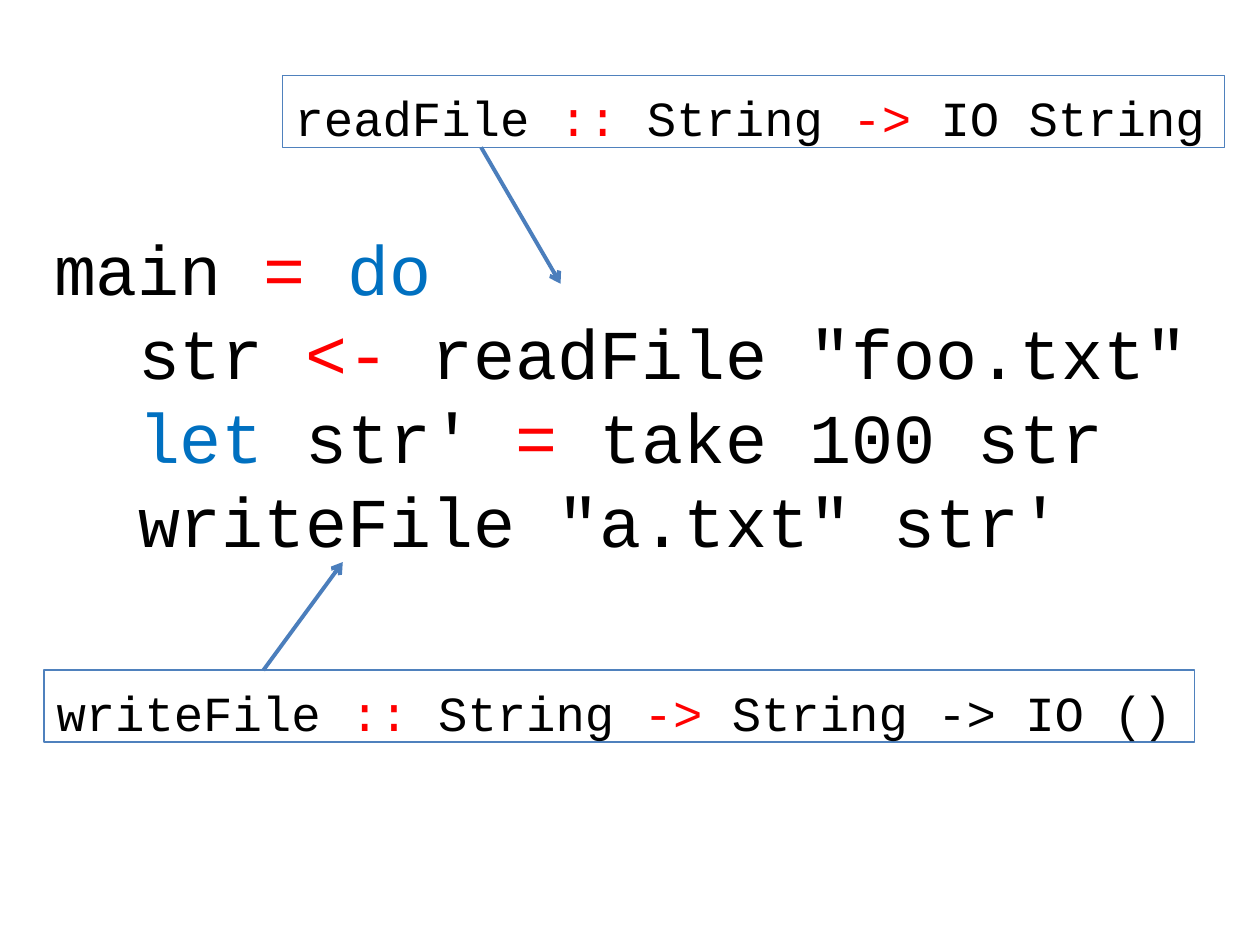
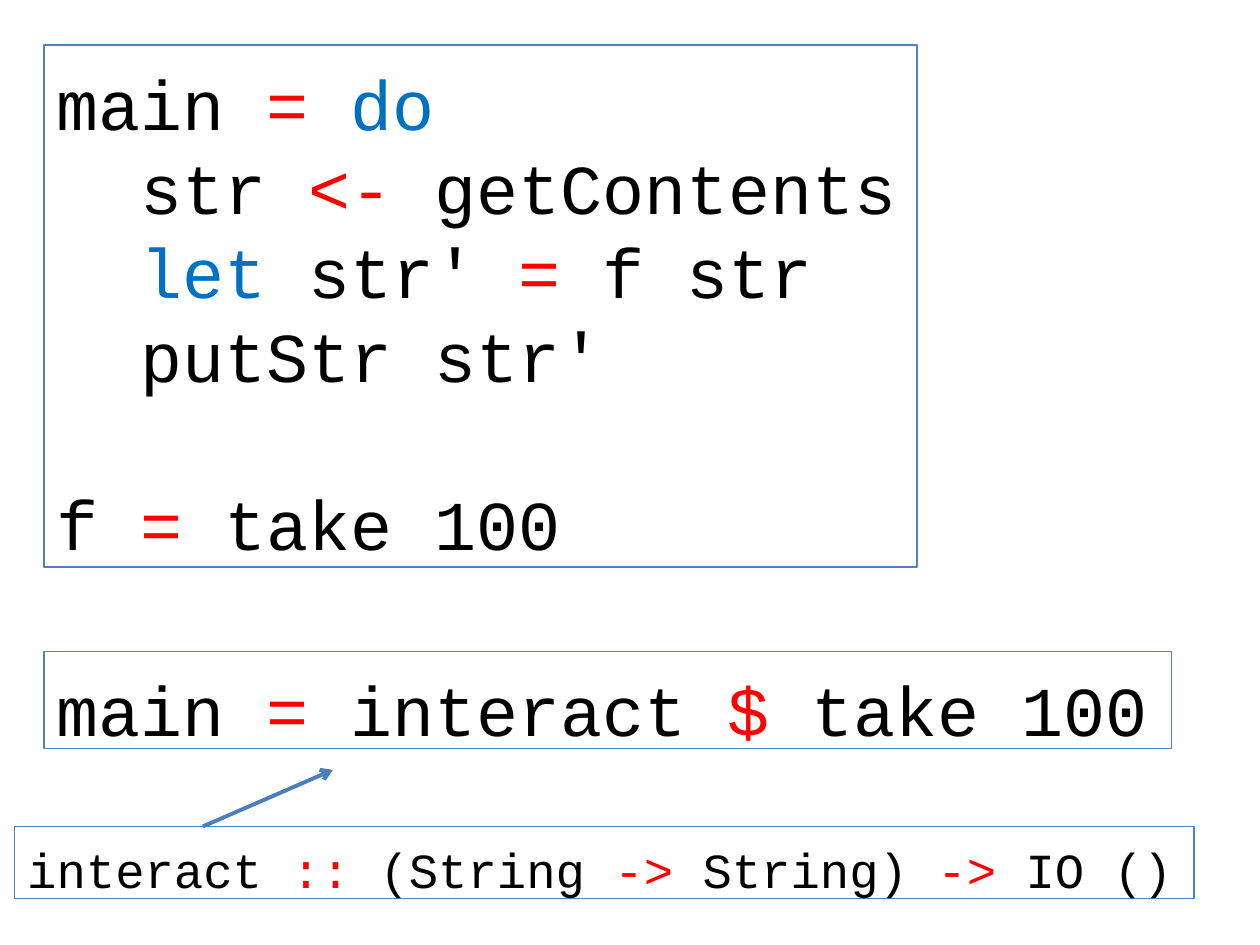
from pptx import Presentation
from pptx.dml.color import RGBColor
from pptx.enum.shapes import MSO_CONNECTOR, MSO_SHAPE
from pptx.enum.text import MSO_ANCHOR, PP_ALIGN
from pptx.oxml.ns import qn
from pptx.util import Cm, Pt
from lxml.etree import SubElement


def rgb(value):
    return RGBColor.from_string(value)


class Deck:
    font = "Courier New"
    text = "000000"
    operator = "FF0000"
    keyword = "0070C0"
    border = "4F81BD"
    arrow_color = "4B7EBC"
    code_size = 40
    type_size = 28
    token_colors = {"=": operator, "<-": operator, "->": operator,
                    "::": operator, "$": operator,
                    "do": keyword, "let": keyword}

    def __init__(self):
        self.prs = Presentation()
        self.prs.slide_width, self.prs.slide_height = Cm(25.4), Cm(19.05)
        self.s = None

    def slide(self):
        self.s = self.prs.slides.add_slide(self.prs.slide_layouts[6])

    def fill_text(self, tf, lines, size):
        pitch = size * 1.2
        tf.word_wrap = True
        tf.vertical_anchor = MSO_ANCHOR.TOP
        tf.margin_left = tf.margin_right = Cm(0.25)
        tf.margin_top, tf.margin_bottom = Pt(3.6 + size * 0.13), 0
        gap = 0
        p = tf.paragraphs[0]
        for i, line in enumerate(lines):
            if not line:
                gap += pitch
                continue
            if i:
                p = tf.add_paragraph()
            code = line.lstrip()
            p.alignment = PP_ALIGN.LEFT
            p.line_spacing = Pt(pitch)
            p.space_before = Pt(gap)
            gap = 0
            indent = Pt((len(line) - len(code)) * size * 0.6)
            p._p.get_or_add_pPr().set("marL", str(int(indent)))
            for token in code.split("|"):
                r = p.add_run()
                r.text = token
                r.font.name = self.font
                r.font.size = Pt(size)
                r.font.color.rgb = rgb(self.token_colors.get(token.strip(), self.text))

    def code(self, x, y, w, h, lines):
        sp = self.s.shapes.add_textbox(Cm(x), Cm(y), Cm(w), Cm(h))
        self.fill_text(sp.text_frame, lines, self.code_size)

    def box(self, x, y, w, h, lines, size):
        sp = self.s.shapes.add_shape(MSO_SHAPE.RECTANGLE, Cm(x), Cm(y), Cm(w), Cm(h))
        sp.shadow.inherit = False
        sp.fill.background()
        sp.line.color.rgb = rgb(self.border)
        sp.line.width = Pt(0.75)
        self.fill_text(sp.text_frame, lines, size)

    def code_box(self, x, y, w, h, lines):
        self.box(x, y, w, h, lines, self.code_size)

    def signature(self, x, y, w, line):
        self.box(x, y, w, 1.45, [line], self.type_size)

    def arrow(self, x1, y1, x2, y2):
        c = self.s.shapes.add_connector(MSO_CONNECTOR.STRAIGHT,
                                        Cm(x1), Cm(y1), Cm(x2), Cm(y2))
        c.line.color.rgb = rgb(self.arrow_color)
        c.line.width = Pt(2.25)
        SubElement(c.line._get_or_add_ln(), qn("a:tailEnd"), type="arrow")
        SubElement(c._element.spPr, qn("a:effectLst"))


deck = Deck()

deck.slide()
deck.code(0.84, 4.24, 24.46, 7.09, [
    "main |= |do",
    "  str |<-| readFile \"foo.txt\"",
    "  let| str' |=| take 100 str",
    "  writeFile \"a.txt\" str'",
])
deck.signature(5.69, 1.52, 19, "readFile |::| String |->| IO String")
deck.arrow(9.7, 2.97, 11.3, 5.72)
deck.signature(0.89, 13.51, 23.19, "writeFile |::| String |->| String -> IO ()")
deck.arrow(5.31, 13.51, 6.91, 11.33)

deck.slide()
deck.code_box(0.89, 0.91, 17.6, 10.52, [
    "main |= |do",
    "  str |<-| getContents",
    "  let| str' |=| f str",
    "  putStr str'",
    "",
    "f |=| take 100",
])
deck.code_box(0.89, 13.13, 22.73, 1.96, ["main |=| interact |$| take 100"])
deck.signature(0.3, 16.66, 23.77, "interact |::| (String |->| String) |->| IO ()")
deck.arrow(4.09, 16.66, 6.71, 15.52)

deck.prs.save("out.pptx")
